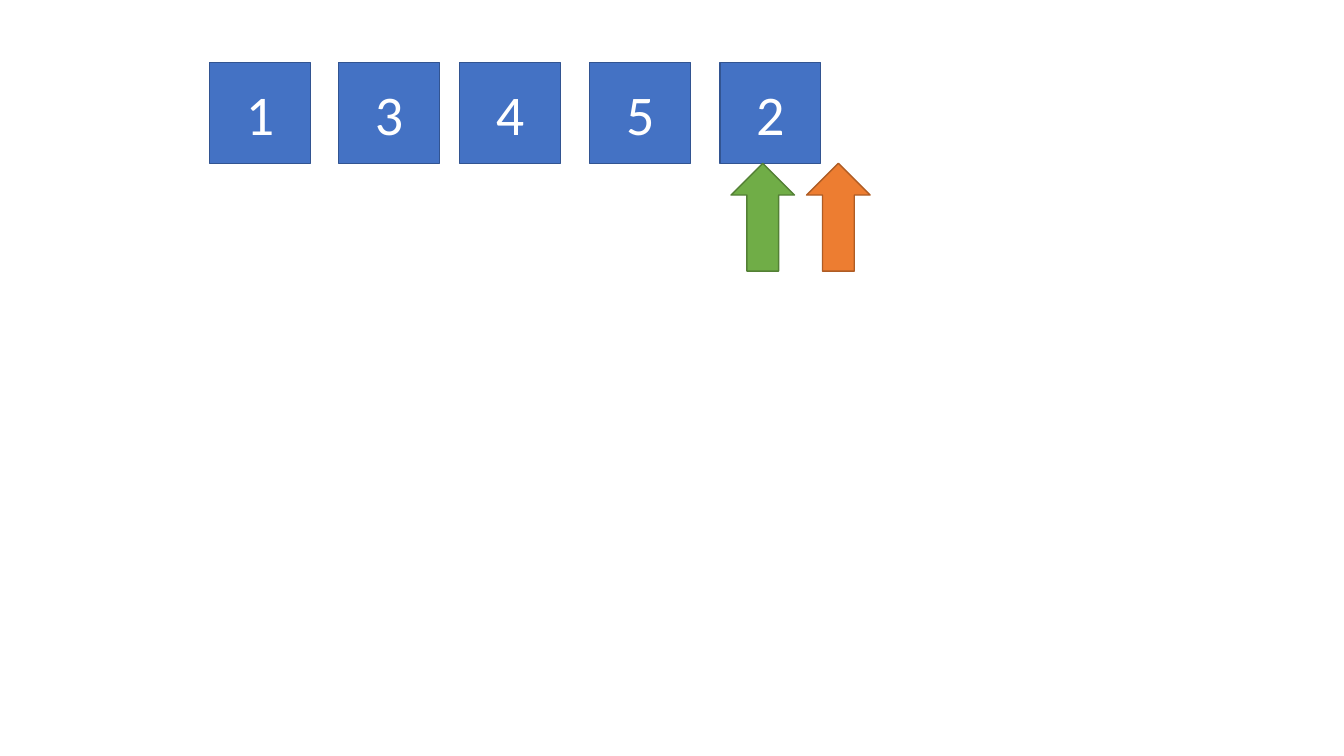
"""Draws a row of numbered boxes with two arrows under the last one."""
from dataclasses import dataclass

from pptx import Presentation
from pptx import util as u
from pptx.dml.color import RGBColor
from pptx.enum import shapes, text

UNIT = u.Inches(1)
WIDE, HIGH = 13.33, 7.5
TOP, SIDE = 0.62, 1


@dataclass(frozen=True)
class Item:
    col: float
    row: float
    wide: float
    high: float
    fill: str
    edge: str
    kind: shapes.MSO_SHAPE = shapes.MSO_SHAPE.RECTANGLE
    turn: float = 0
    label: str = ""


def grid(count: float) -> u.Emu:
    return u.Emu(round(count * UNIT))


def color(code: str) -> RGBColor:
    return RGBColor.from_string(code)


def write(frame, words: str, *, size: float = 40, font: str = "Calibri",
          ink: str = "FFFFFF") -> None:
    frame.vertical_anchor = text.MSO_ANCHOR.MIDDLE
    line = frame.paragraphs[0]
    line.alignment = text.PP_ALIGN.CENTER
    run = line.add_run()
    run.text = words
    run.font.size = u.Pt(size)
    run.font.name = font
    run.font.color.rgb = color(ink)


def draw(slide, item: Item) -> None:
    shape = slide.shapes.add_shape(
        item.kind, *map(grid, (item.col, item.row, item.wide, item.high)))
    shape.rotation = item.turn
    shape.shadow.inherit = False
    shape.fill.solid()
    shape.fill.fore_color.rgb = color(item.fill)
    shape.line.color.rgb = color(item.edge)
    shape.line.width = u.Pt(1)
    if item.label:
        write(shape.text_frame, item.label)


def box(label: str, col: float) -> Item:
    return Item(col, TOP, SIDE, SIDE, "4472C4", "325491", label=label)


def arrow(col: float, fill: str, edge: str) -> Item:
    return Item(col, TOP + SIDE, 0.63, 1.07, fill, edge,
                shapes.MSO_SHAPE.DOWN_ARROW, 180)


BOXES = {"1": 2.08, "2": 7.14, "3": 3.36, "4": 4.56, "5": 5.85}
ARROWS = [(8, "ED7D31", "AF5C24"), (7.25, "70AD47", "538035")]


def main() -> None:
    deck = Presentation()
    deck.slide_width, deck.slide_height = grid(WIDE), grid(HIGH)
    slide = deck.slides.add_slide(deck.slide_layouts[6])
    for label, col in BOXES.items():
        draw(slide, box(label, col))
    for mark in ARROWS:
        draw(slide, arrow(*mark))
    deck.save("out.pptx")


if __name__ == "__main__":
    main()
